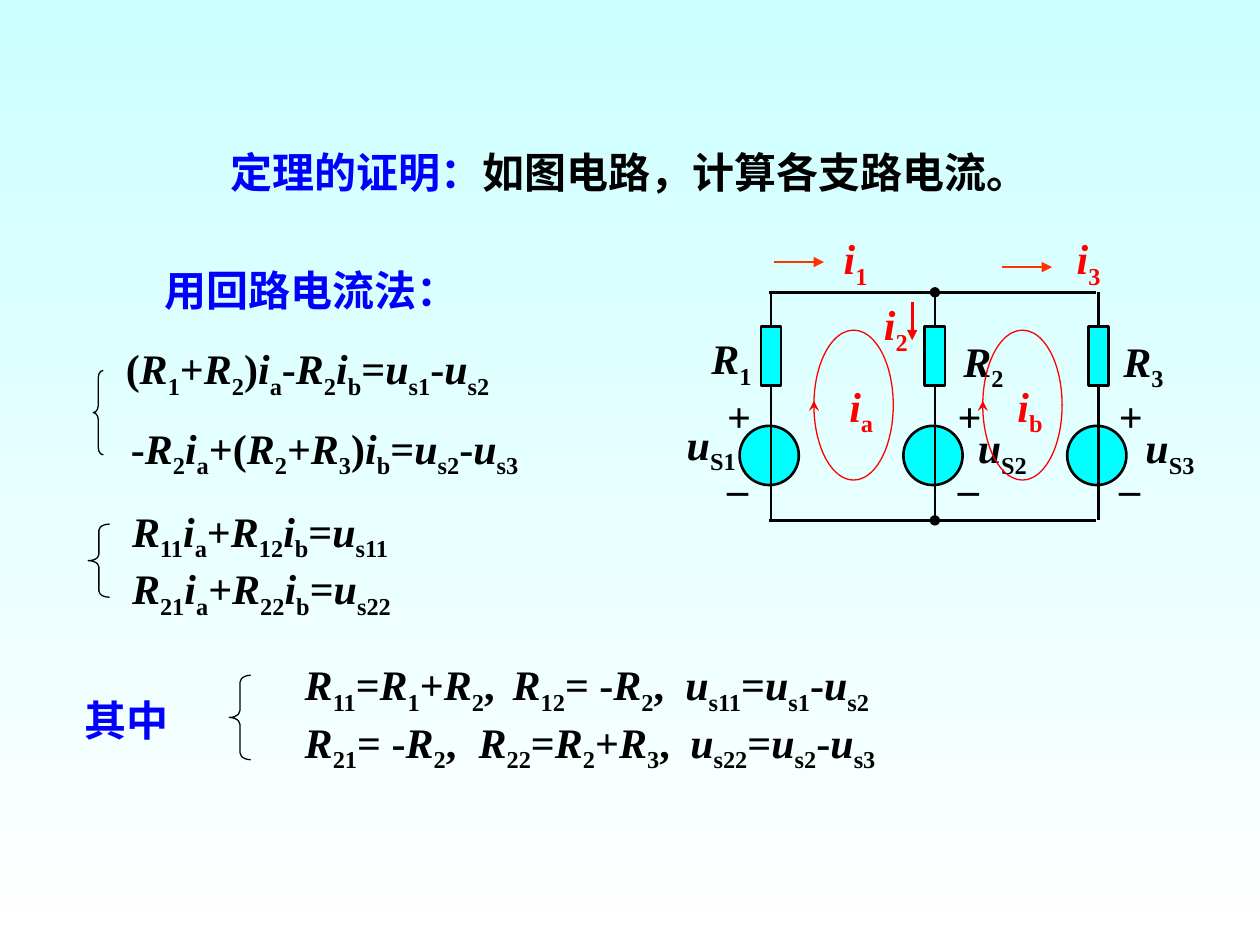
from itertools import groupby

from lxml.etree import SubElement
from pptx import Presentation
from pptx.dml.color import RGBColor as RGB
from pptx.enum.shapes import MSO_CONNECTOR as Link, MSO_SHAPE as Kind
from pptx.enum.text import MSO_ANCHOR as Anchor, PP_ALIGN as Align
from pptx.oxml.ns import qn
from pptx.util import Pt

PX = 9144  # 100 px to the inch
HUES = {"black": "000000", "blue": "0000FF", "red": "FF0000",
        "orange": "FF3300", "cyan": "00FFFF", "sky": "CCFFFF",
        "white": "FFFFFF"}
RGBS = {name: RGB.from_string(code) for name, code in HUES.items()}

deck = Presentation()
deck.slide_width, deck.slide_height = 1000 * PX, 750 * PX
slide = deck.slides.add_slide(deck.slide_layouts[6])
shapes = slide.shapes


def write(text, x, y, w, h=56, hue="black", align=Align.CENTER,
          anchor=Anchor.MIDDLE, wrap=True, stops=()):
    """Add a text box: {..} is a subscript, R, i and u are italic,
    | starts a new colour (black); stops holds tab stops per line."""
    frame = shapes.add_textbox(x * PX, y * PX, w * PX, h * PX).text_frame
    frame.word_wrap, frame.vertical_anchor = wrap, anchor
    for n, line in enumerate(text.split("\n")):
        para = frame.paragraphs[0] if n == 0 else frame.add_paragraph()
        para.alignment = align
        if stops:
            tabs = SubElement(para._p.get_or_add_pPr(), qn("a:tabLst"))
            for stop in stops[n]:
                SubElement(tabs, qn("a:tab"), pos=str(stop * PX), algn="l")
        parts = []
        for k, part in enumerate(line.split("|")):
            tone = hue if k == 0 else "black"
            for chunk in part.split("{"):
                sub, mark, rest = chunk.rpartition("}")
                if mark:
                    parts.append((sub, tone, False, True))
                for slant, group in groupby(rest, lambda c: c in "Riu"):
                    parts.append(("".join(group), tone, slant, False))
        for word, tone, slant, low in parts:
            run = para.add_run()
            run.text = word
            font = run.font
            font.name, font.size, font.bold = "Times New Roman", Pt(24), True
            font.italic, font.color.rgb = slant, RGBS[tone]
            if low:
                run._r.get_or_add_rPr().set("baseline", "-25000")


def draw(kind, x, y, w, h, hue="black", pt=1.5, fill=None, head=None,
         tail=None):
    """Add a preset shape, or a line running w, h from x, y if kind is None."""
    if kind is None:
        item = shapes.add_connector(Link.STRAIGHT, x * PX, y * PX,
                                    (x + w) * PX, (y + h) * PX)
    else:
        item = shapes.add_shape(kind, x * PX, y * PX, w * PX, h * PX)
        if fill:
            item.fill.solid()
            item.fill.fore_color.rgb = RGBS[fill]
        else:
            item.fill.background()
    item.line.color.rgb, item.line.width = RGBS[hue], Pt(pt)
    props = item.element.spPr
    for tag, end in (("a:headEnd", head), ("a:tailEnd", tail)):
        if end:
            SubElement(props.find(qn("a:ln")), qn(tag), type=end)
    SubElement(props, qn("a:effectLst"))
    return item


# Background
back = slide.background.fill
back.gradient()
back.gradient_angle = 270
for stop, name in zip(back.gradient_stops, ("sky", "white")):
    stop.color.rgb = RGBS[name]

# Headings and equations
write("定理的证明：|如图电路，计算各支路电流。", 47, 111, 906, 50, hue="blue")
write("用回路电流法：", 47, 205, 401, 50, hue="blue")
write("其中", 54, 546, 92, 50, hue="blue")
write("(R{1}+R{2})i{a}-R{2}i{b}=u{s1}-u{s2}", 90, 267, 430, align=Align.LEFT)
write("-R{2}i{a}+(R{2}+R{3})i{b}=u{s2}-u{s3}", 94, 330, 434,
      align=Align.LEFT)
write("R{11}i{a}+R{12}i{b}=u{s11}\nR{21}i{a}+R{22}i{b}=u{s22}",
      95, 396, 267, 101, align=Align.LEFT)
write("R{11}=R{1}+R{2},\tR{12}= -R{2},\tu{s11}=u{s1}-u{s2}\n"
      "R{21}= -R{2},\tR{22}=R{2}+R{3},\tu{s22}=u{s2}-u{s3}",
      232, 518, 508, 101, align=Align.LEFT,
      stops=((165, 302), (138, 306)))

for x, y, w, h in ((74, 294, 8, 67), (70, 416, 17, 58), (182, 536, 17, 67)):
    brace = draw(Kind.LEFT_BRACE, x, y, w, h, pt=0.75)
    brace.adjustments[0] = h / 12 / w

# Circuit: top and bottom wires, then the three branches
TOP, LOW = 232, 413
for y in (TOP, LOW):
    draw(None, 610, y, 260, 0)

branches = ((612, None, 567, 547, 259, 535, 327),
            (742, "oval", 750, 747, 261, 766, 330),
            (872, None, 878, 874, 261, 899, 330))
for n, (x, dot, sign, res, high, volt, base) in enumerate(branches, 1):
    draw(Kind.OVAL, x - 25, 338, 47, 47, fill="cyan")
    draw(None, x, TOP, 0, LOW - TOP, head=dot, tail=dot)
    draw(Kind.RECTANGLE, x - 8, 259, 16, 47, fill="cyan")
    write("+", sign, 305, 39, 50, wrap=False)
    write("_", sign, 351, 37, 50)
    write(f"R{{{n}}}", res, high, 67, anchor=Anchor.TOP)
    write(f"u{{S{n}}}", volt, base, 59, anchor=Anchor.TOP, wrap=False)

# Branch currents
currents = ((654, 180, 614, 208, 40, 0, "orange"),
            (686, 232, 724, 240, 0, 30, "red"),
            (839, 180, 795, 212, 40, 0, "orange"))
for n, (left, top, x, y, w, h, hue) in enumerate(currents, 1):
    write(f"i{{{n}}}", left, top, 50, hue="red", anchor=Anchor.TOP)
    draw(None, x, y, w, h, hue=hue, tail="triangle")

# Loop currents
for name, x in (("a", 646), ("b", 780)):
    draw(Kind.OVAL, x, 262, 63, 119, hue="red", pt=0.75)
    write(f"i{{{name}}}", x + 2, 297, 71, hue="red", anchor=Anchor.TOP)
    draw(None, x, 324, 0, -6, hue="red", pt=0.75, tail="stealth")

deck.save("out.pptx")
